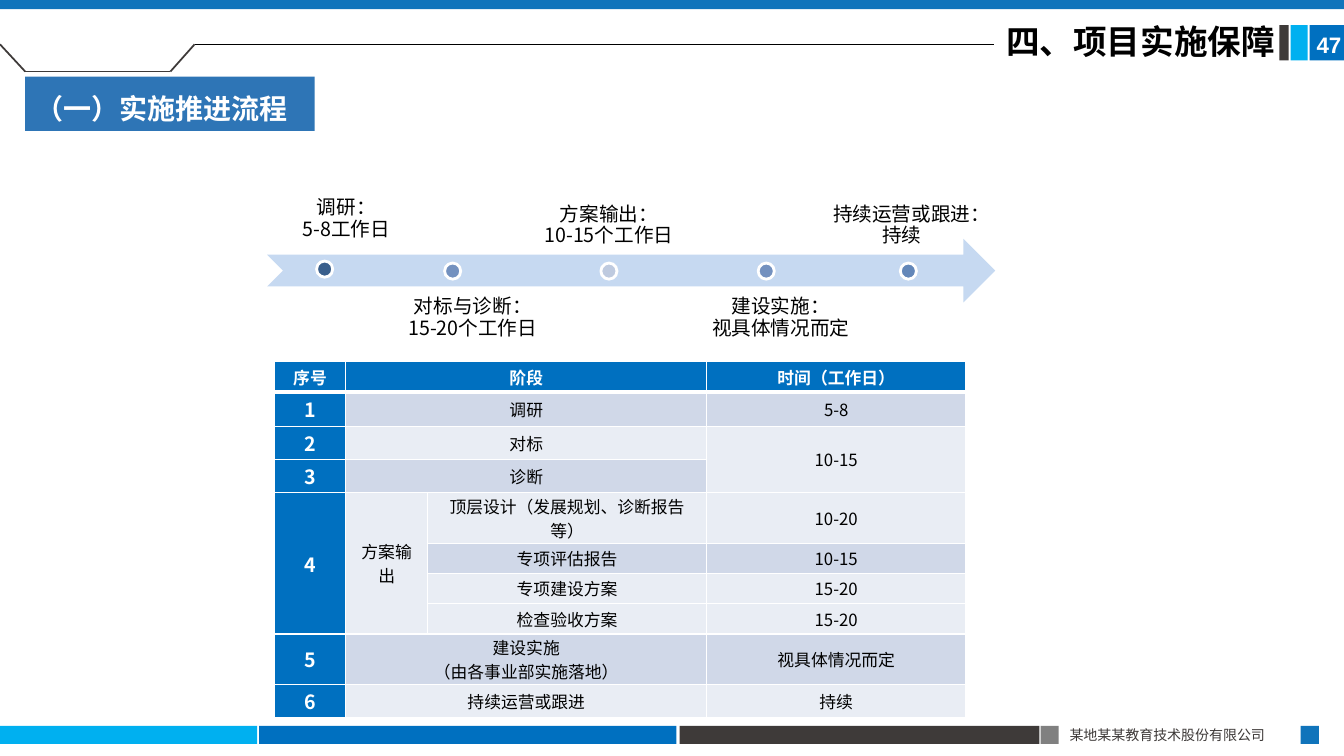
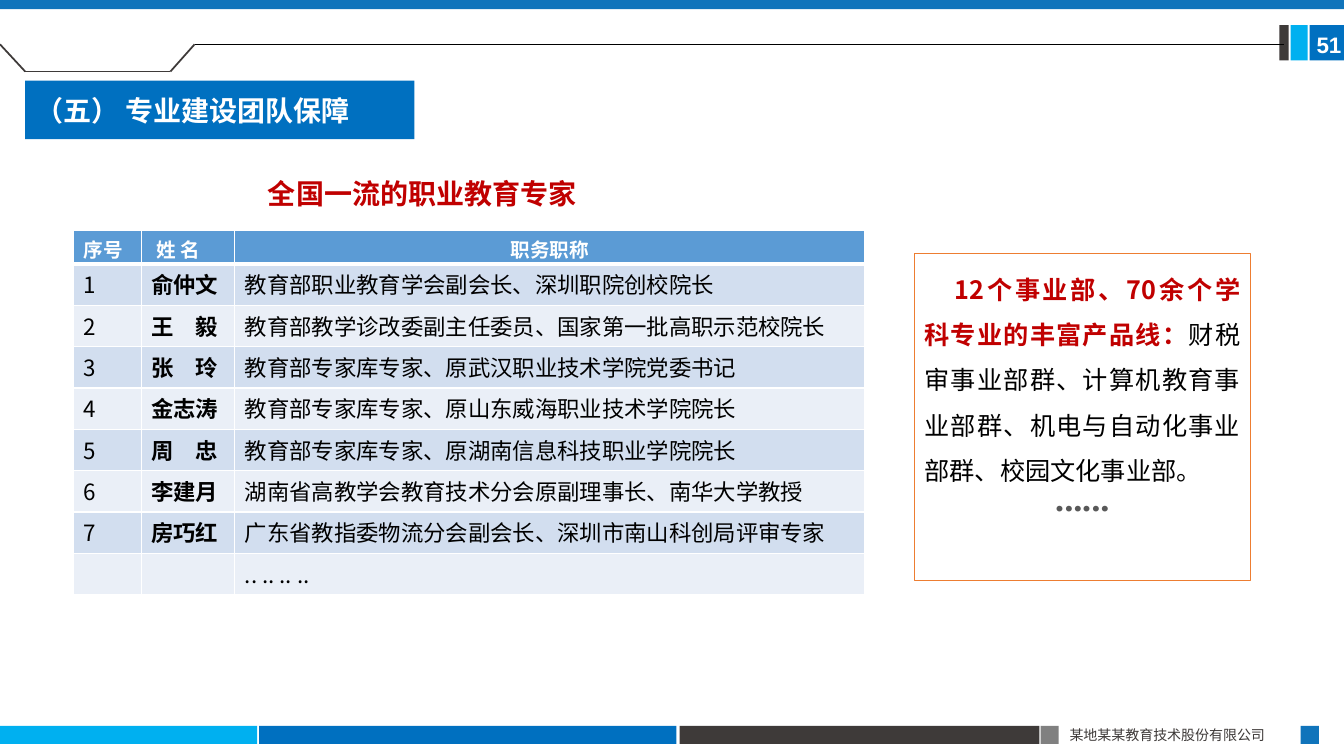
import itertools
from dataclasses import dataclass

import lxml.etree
import pptx
import pptx.dml.color
import pptx.enum.shapes
import pptx.enum.text
import pptx.oxml.ns
import pptx.util

SHAPE = pptx.enum.shapes.MSO_SHAPE
ALIGN = pptx.enum.text.PP_ALIGN
ANCHOR = pptx.enum.text.MSO_ANCHOR
qn = pptx.oxml.ns.qn
inch = pptx.util.Inches
pt = pptx.util.Pt


@dataclass(frozen=True)
class Theme:
    font: str = "Noto Sans CJK SC"
    number_font: str = "Arial"
    label_font: str = "Calibri"
    dots_font: str = "Karla"
    white: str = "FFFFFF"
    black: str = "000000"
    blue: str = "0070C0"
    band: str = "1074BB"
    label: str = "2E75B6"
    sky: str = "00B0F0"
    dark: str = "3E3A39"
    gray: str = "808080"
    dots: str = "595959"
    red: str = "C00000"
    orange: str = "ED7D31"
    arrow: str = "C6D9F1"
    header: str = "5B9BD5"
    plan_bands: tuple = ("D0D8E8", "E9EDF4")
    team_bands: tuple = ("D2DEEF", "EAEFF7")
    title: float = 24
    heading: float = 20
    body: float = 18
    name: float = 16
    step: float = 14
    cell: float = 12
    footer: float = 10
    ellipsis: float = 36


T = Theme()
WIDTH, HEIGHT = 13.33, 7.5
MARGIN = 0.25
RULE_Y = 0.44
COMPANY = "某地某某教育技术股份有限公司"

FOOTER_Y, FOOTER_H = 7.2, 0.18
BARS = [
    (0, FOOTER_Y, 2.55, FOOTER_H, T.sky),
    (2.57, FOOTER_Y, 4.14, FOOTER_H, T.blue),
    (6.74, FOOTER_Y, 3.57, FOOTER_H, T.dark),
    (10.32, FOOTER_Y, FOOTER_H, FOOTER_H, T.gray),
    (12.9, FOOTER_Y, FOOTER_H, FOOTER_H, T.band),
    (12.99, MARGIN, 0.35, 0.35, T.blue),
    (12.8, MARGIN, 0.17, 0.35, T.sky),
    (12.69, MARGIN, 0.09, 0.35, T.dark),
    (0, 0, WIDTH, 0.09, T.band),
]
BRACKET = [(0, RULE_Y), (MARGIN, 0.71), (1.69, 0.71), (1.93, RULE_Y)]

ABOVE, BELOW, LABEL_H, DOT = 1.9, 2.92, 0.63, 0.16
STEPS = [
    (["调研：", "5-8工作日"], 2.65, 1.84, 1.57, 3.14, 2.59, "3A5F8C"),
    (["对标与诊断：", "15-20个工作日"], 3.91, BELOW, 1.56, 4.41, 2.61, "7391BF"),
    (["方案输出：", "10-15个工作日"], 5.28, ABOVE, 1.52, 5.96, 2.61, "BECADF"),
    (["建设实施：", "视具体情况而定"], 6.87, BELOW, 1.75, 7.52, 2.61, "7391BF"),
    (["持续运营或跟进：", "持续"], 8.16, ABOVE, 1.57, 8.93, 2.61, "6387B9"),
]

PLAN = [
    ("序号", "阶段", "", "时间（工作日）"),
    ("1", "调研", "", "5-8"),
    ("2", "对标", "", "10-15"),
    ("3", "诊断", "", ""),
    ("4", "方案输出", "顶层设计（发展规划、诊断报告等）", "10-20"),
    ("", "", "专项评估报告", "10-15"),
    ("", "", "专项建设方案", "15-20"),
    ("", "", "检查验收方案", "15-20"),
    ("5", "建设实施\n（由各事业部实施落地）", "", "视具体情况而定"),
    ("6", "持续运营或跟进", "", "持续"),
]
PLAN_COLS = [0.71, 0.81, 2.77, 2.57]
PLAN_ROWS = [0.3, 0.34, 0.33, 0.33, 0.5, 0.3, 0.3, 0.3, 0.5, 0.33]
PLAN_SHADES = [0, 0, 1, 0, 1, 0, 1, 1, 0, 1]
PLAN_MERGES = [((r, 1), (r, 2)) for r in (0, 1, 2, 3, 8, 9)]
PLAN_MERGES += [((2, 3), (3, 3)), ((4, 0), (7, 0)), ((4, 1), (7, 1))]

TEAM = [
    ("序号", "姓 名", "职务职称"),
    ("1", "俞仲文", "教育部职业教育学会副会长、深圳职院创校院长"),
    ("2", "王　毅", "教育部教学诊改委副主任委员、国家第一批高职示范校院长"),
    ("3", "张　玲", "教育部专家库专家、原武汉职业技术学院党委书记"),
    ("4", "金志涛", "教育部专家库专家、原山东威海职业技术学院院长"),
    ("5", "周　忠", "教育部专家库专家、原湖南信息科技职业学院院长"),
    ("6", "李建月", "湖南省高教学会教育技术分会原副理事长、南华大学教授"),
    ("7", "房巧红", "广东省教指委物流分会副会长、深圳市南山科创局评审专家"),
    ("", "", ".. .. .. .."),
]
TEAM_COLS = [0.67, 0.93, 6.25]
TEAM_ROWS = [0.33] + [0.41] * 8

PRODUCTS = [
    ("12个事业部、70余个学科专业的丰富产品线：", T.red, True),
    ("财税审事业部群、计算机教育事业部群、机电与自动化事业部群、校园文化事业部。", T.black, False),
]


def rgb(color):
    return pptx.dml.color.RGBColor.from_string(color)


def add_run(p, text, size, color, bold=False, font=T.font):
    r = p.add_run()
    r.text = text
    r.font.size = pt(size)
    r.font.bold = bold
    r.font.color.rgb = rgb(color)
    r.font.name = font
    lxml.etree.SubElement(r.font._element, qn("a:ea"), typeface=T.font)


def add_lines(tf, lines, size, color, bold=False, font=T.font, align=ALIGN.LEFT,
              spacing=None, after=None):
    for i, line in enumerate(lines):
        p = tf.add_paragraph() if i else tf.paragraphs[0]
        p.alignment = align
        if spacing:
            p.line_spacing = spacing
        if after:
            p.space_after = after
        if line:
            add_run(p, line, size, color, bold, font)
        else:
            lxml.etree.SubElement(p._p, qn("a:endParaRPr"), sz=str(int(size * 100)))


def add_text(s, x, y, w, h, lines, size, color, anchor=ANCHOR.TOP, inset=None, **style):
    tf = s.shapes.add_textbox(inch(x), inch(y), inch(w), inch(h)).text_frame
    tf.word_wrap = True
    tf.vertical_anchor = anchor
    if inset:
        tf.margin_left = tf.margin_right = tf.margin_top = tf.margin_bottom = inch(inset)
    add_lines(tf, lines, size, color, **style)


def add_block(s, x, y, w, h, fill=None, kind=SHAPE.RECTANGLE, line=None, weight=1):
    sp = s.shapes.add_shape(kind, inch(x), inch(y), inch(w), inch(h))
    sp.shadow.inherit = False
    if fill:
        sp.fill.solid()
        sp.fill.fore_color.rgb = rgb(fill)
    else:
        sp.fill.background()
    if line:
        sp.line.color.rgb = rgb(line)
        sp.line.width = pt(weight)
    else:
        sp.line.fill.background()
    return sp


def add_line(s, start, end, color, weight):
    straight = pptx.enum.shapes.MSO_CONNECTOR.STRAIGHT
    sp = s.shapes.add_connector(straight, *map(inch, start + end))
    sp.line.color.rgb = rgb(color)
    sp.line.width = pt(weight)
    lxml.etree.SubElement(sp._element.spPr, qn("a:effectLst"))


def add_label(s, w, y, h, text, fill, anchor, font=T.font, spacing=None):
    tf = add_block(s, MARGIN, y, w, h, fill).text_frame
    tf.word_wrap = True
    tf.vertical_anchor = anchor
    add_lines(tf, [text], T.heading, T.white, bold=True, font=font, spacing=spacing)


def set_borders(cell, row):
    tc_pr = cell._tc.get_or_add_tcPr()
    thick = {"lnB": 0, "lnT": 1}
    for side in ("lnL", "lnR", "lnT", "lnB"):
        weight = 3 if thick.get(side) == row else 1
        ln = lxml.etree.SubElement(tc_pr, qn(f"a:{side}"), w=str(pt(weight)))
        fill = lxml.etree.SubElement(ln, qn("a:solidFill"))
        lxml.etree.SubElement(fill, qn("a:srgbClr"), val=T.white)


def add_table(s, x, y, data, cols, rows, style, pad, anchor, merges=()):
    frame = s.shapes.add_table(len(rows), len(cols), inch(x), inch(y),
                               inch(sum(cols)), inch(sum(rows)))
    table = frame.table
    for column, w in zip(table.columns, cols):
        column.width = inch(w)
    for row, h in zip(table.rows, rows):
        row.height = inch(h)
    for r, c in itertools.product(range(len(rows)), range(len(cols))):
        cell = table.cell(r, c)
        fill, size, color, bold, align = style(r, c)
        set_borders(cell, r)
        cell.fill.solid()
        cell.fill.fore_color.rgb = rgb(fill)
        cell.margin_top = cell.margin_bottom = inch(pad)
        cell.vertical_anchor = anchor
        add_lines(cell.text_frame, data[r][c].split("\n"), size, color, bold, align=align)
    for start, end in merges:
        table.cell(*start).merge(table.cell(*end))
    return table


def plan_style(r, c):
    if r == 0 or c == 0:
        return T.blue, T.step if r else T.cell, T.white, True, ALIGN.CENTER
    return T.plan_bands[PLAN_SHADES[r]], T.cell, T.black, False, ALIGN.CENTER


def team_style(r, c):
    if r == 0:
        return T.header, T.step, T.white, True, ALIGN.CENTER if c == 2 else ALIGN.LEFT
    return T.team_bands[(r - 1) % 2], T.name, T.black, c == 1, ALIGN.LEFT


def new_slide(prs, number, rule_end):
    s = prs.slides.add_slide(prs.slide_layouts[6])
    for bar in BARS:
        add_block(s, *bar)
    add_text(s, 10.51, 7.16, 2.4, 0.27, [COMPANY], T.footer, T.dark)
    for start, end in itertools.pairwise(BRACKET):
        add_line(s, start, end, T.dark, 1.25)
    add_line(s, BRACKET[-1], (rule_end, RULE_Y), T.black, 0.5)
    add_text(s, 12.96, 0.26, 0.5, 0.37, [number], T.name, T.white,
             bold=True, font=T.number_font)
    return s


def build_process(prs):
    s = new_slide(prs, "47", 9.86)
    add_text(s, 9.88, 0.2, 3.03, 0.5, ["四、项目实施保障"], T.title, T.black,
             bold=True, spacing=0.9)
    add_label(s, 2.87, 0.76, 0.54, "（一）实施推进流程", T.label, ANCHOR.TOP, spacing=1.3)
    add_table(s, 2.72, 3.59, PLAN, PLAN_COLS, PLAN_ROWS, plan_style, 0.01,
              ANCHOR.MIDDLE, PLAN_MERGES)
    add_block(s, 2.65, 2.37, 7.22, 0.63, T.arrow, SHAPE.NOTCHED_RIGHT_ARROW)
    for lines, x, y, w, dot_x, dot_y, color in STEPS:
        add_text(s, x, y, w, LABEL_H, lines, T.step, T.black,
                 anchor=ANCHOR.TOP if y == BELOW else ANCHOR.BOTTOM, inset=0.08,
                 align=ALIGN.CENTER, spacing=pt(10.8), after=pt(4.9))
        add_block(s, dot_x, dot_y, DOT, DOT, color, SHAPE.OVAL, T.white, 2)


def build_team(prs):
    s = new_slide(prs, "51", 12.73)
    add_label(s, 3.86, 0.8, 0.58, "（五） 专业建设团队保障", T.blue, ANCHOR.MIDDLE, T.label_font)
    add_text(s, 2.56, 1.7, 3.87, 0.44, ["全国一流的职业教育专家"], T.heading, T.red, bold=True)
    table = add_table(s, 0.73, 2.29, TEAM, TEAM_COLS, TEAM_ROWS, team_style, 0.04, ANCHOR.TOP)
    table.cell(0, 1).margin_left = inch(0.15)
    tf = add_block(s, 9.07, 2.52, 3.33, 3.24, line=T.orange, weight=0.75).text_frame
    tf.word_wrap = True
    tf.vertical_anchor = ANCHOR.TOP
    p = tf.paragraphs[0]
    p.alignment = ALIGN.JUSTIFY
    p.line_spacing = pt(32.4)
    p._p.get_or_add_pPr().set("indent", str(inch(0.3)))
    for text, color, bold in PRODUCTS:
        add_run(p, text, T.body, color, bold)
    p = tf.add_paragraph()
    p.alignment = ALIGN.CENTER
    p.line_spacing = pt(25.6)
    add_run(p, "……", T.ellipsis, T.dots, font=T.dots_font)


def main():
    prs = pptx.Presentation()
    prs.slide_width, prs.slide_height = inch(WIDTH), inch(HEIGHT)
    build_process(prs)
    build_team(prs)
    prs.save("out.pptx")


if __name__ == "__main__":
    main()
